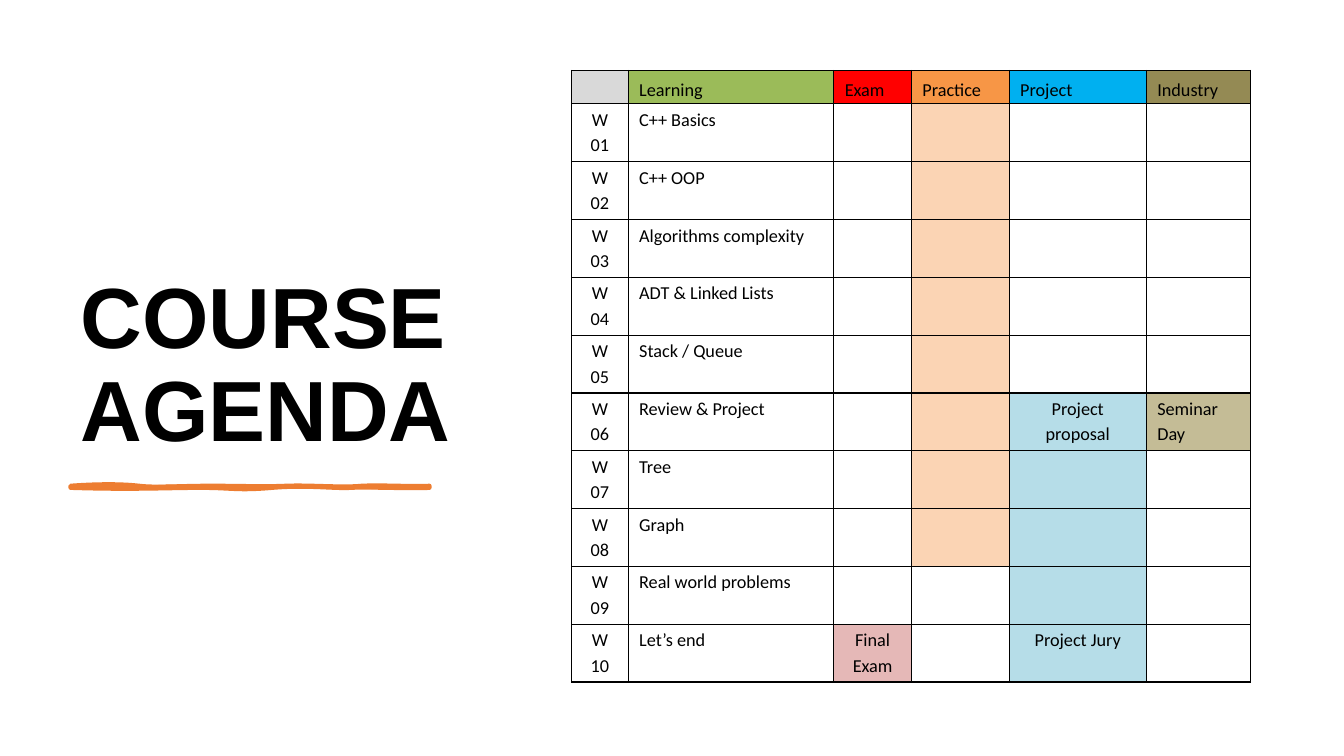
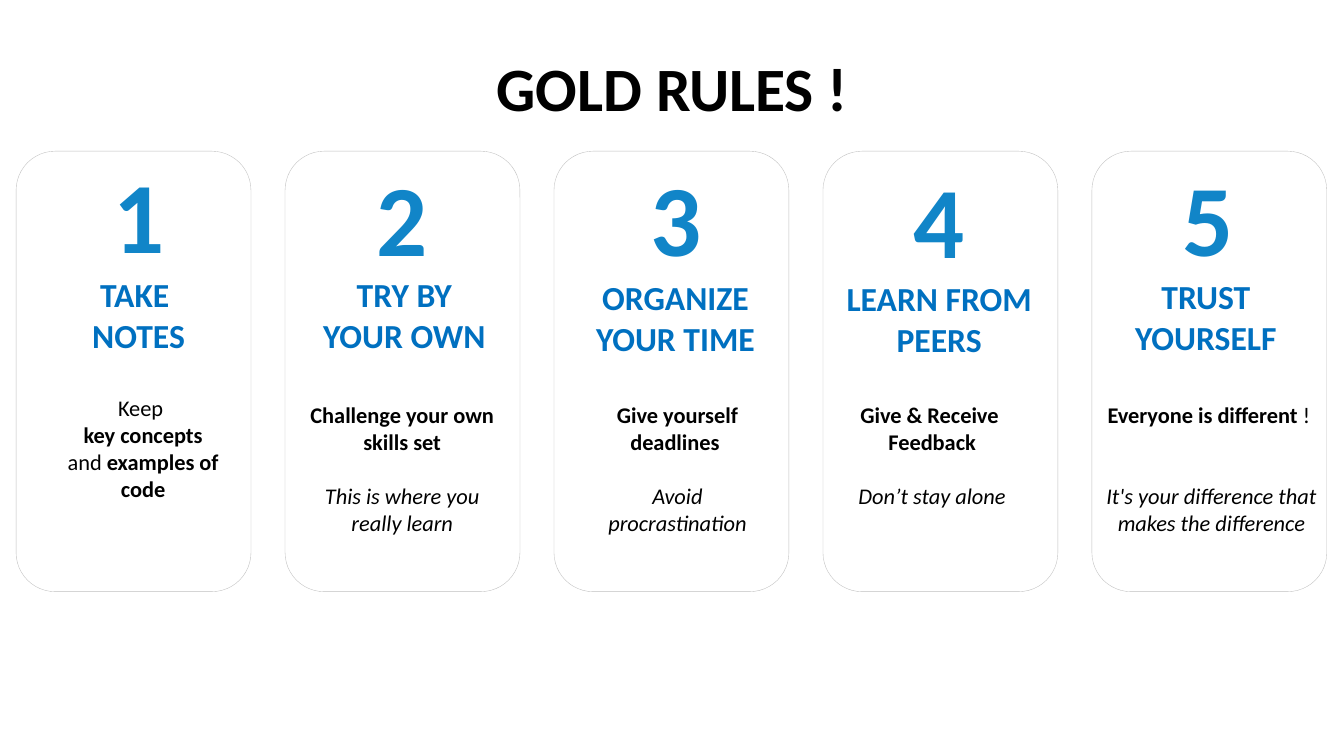
"""Build the course agenda and gold rules slides."""
from dataclasses import dataclass

from lxml.etree import SubElement as Sub
from pptx import Presentation
from pptx.dml.color import RGBColor as Rgb
from pptx.enum.shapes import MSO_SHAPE as Kind
from pptx.enum.text import MSO_ANCHOR as Anchor, MSO_AUTO_SIZE as Fit, PP_ALIGN as Align
from pptx.oxml.ns import qn
from pptx.util import Inches, Pt


@dataclass(frozen=True)
class Theme:
    """Colours, fonts and type sizes."""
    ink: str = "000000"
    paper: str = "FFFFFF"
    wave: str = "ED7D31"
    edge: str = "BFBFBF"
    digit: str = "1185C8"
    head: str = "0070C0"
    corner: str = "D9D9D9"
    exam: str = "E5B8B7"
    drill: str = "FBD4B4"
    work: str = "B6DDE8"
    trade: str = "C4BC96"
    face: str = "Calibri"
    strong: str = "Arial"
    banner: int = 61
    title: int = 44
    number: int = 72
    label: int = 24
    body: int = 16
    cell: int = 13


THEME = Theme()

HEADS = [("", THEME.corner), ("Learning", "9BBB59"), ("Exam", "FF0000"),
         ("Practice", "F79646"), ("Project", "00B0F0"), ("Industry", "948A54")]
TOPICS = ["C++ Basics", "C++ OOP", "Algorithms complexity", "ADT & Linked Lists",
          "Stack / Queue", "Review & Project", "Tree", "Graph",
          "Real world problems", "Let’s end"]
WIDTHS = [0.56, 2.04, 0.77, 0.97, 1.36, 1.03]
EVENTS = {(6, 4): "Project proposal", (6, 5): "Seminar Day",
          (10, 2): "Final Exam", (10, 4): "Project Jury"}
TINTS = {(10, 2): THEME.exam, (6, 5): THEME.trade,
         **{(row, 3): THEME.drill for row in range(1, 9)},
         **{(row, 4): THEME.work for row in range(6, 11)}}

RIM = [(0.7, 4.82), (0.97, 4.8), (1.21, 4.8), (1.38, 4.82), (1.55, 4.84),
       (1.77, 4.82), (2.09, 4.82), (2.41, 4.82), (2.6, 4.83), (2.84, 4.82),
       (3.08, 4.81), (3.39, 4.84), (3.59, 4.82), (3.79, 4.81), (4.12, 4.83),
       (4.26, 4.82), (4.26, 4.83), (4.26, 4.84), (4.26, 4.84), (4.08, 4.85),
       (3.64, 4.83), (3.48, 4.84), (3.32, 4.85), (3.04, 4.81), (2.7, 4.84),
       (2.35, 4.87), (2.31, 4.84), (1.99, 4.84), (1.66, 4.84), (1.32, 4.86),
       (0.7, 4.84), (0.7, 4.84), (0.7, 4.83), (0.7, 4.82)]
CORE = [(0.7, 4.82), (1.02, 4.84), (1.1, 4.83), (1.38, 4.82), (1.66, 4.81),
        (1.69, 4.8), (1.99, 4.82), (2.28, 4.84), (2.61, 4.83), (2.77, 4.82),
        (2.93, 4.81), (3.27, 4.85), (3.44, 4.82), (3.62, 4.8), (3.97, 4.86),
        (4.26, 4.82), (4.26, 4.83), (4.26, 4.83), (4.26, 4.84), (4.12, 4.84),
        (3.72, 4.87), (3.55, 4.84), (3.38, 4.82), (3.09, 4.84), (2.77, 4.84),
        (2.44, 4.84), (2.4, 4.83), (2.16, 4.84), (1.93, 4.85), (1.79, 4.83),
        (1.45, 4.84), (1.11, 4.85), (0.92, 4.84), (0.7, 4.84), (0.7, 4.83),
        (0.7, 4.83), (0.7, 4.82)]


@dataclass(frozen=True)
class Line:
    """One paragraph: runs of (text, style) after a gap in lines."""
    runs: tuple
    gap: int = 0


@dataclass(frozen=True)
class Rule:
    """One card: places of its three texts and their words."""
    spot: tuple
    place: tuple
    label: tuple
    block: tuple
    lines: tuple


def line(text, style="", gap=0):
    """Make a paragraph of one run."""
    return Line(((text, style),), gap)


RULES = [
    Rule((1.03, 1.47), (0.21, 2.67, 2.33), ("TAKE ", "NOTES"), (0.39, 3.86, 2.06, 1.18),
         (line("Keep "), line("key concepts", "b"),
          Line((("and ", ""), ("examples of code", "b"))))),
    Rule((3.64, 1.5), (3.07, 2.67, 1.88), ("TRY BY", "YOUR OWN"), (2.96, 3.93, 2.06, 1.45),
         (line("Challenge your own skills set", "b"),
          line("This is where you really learn", "i", 1))),
    Rule((6.35, 1.5), (5.76, 2.7, 1.88), ("ORGANIZE YOUR TIME",), (5.69, 3.93, 2.06, 1.45),
         (line("Give yourself deadlines ", "b"), line("Avoid procrastination", "i", 1))),
    Rule((8.96, 1.52), (8.29, 2.71, 2.05), ("LEARN FROM", "PEERS"), (8.33, 3.93, 1.78, 1.18),
         (line("Give & Receive", "b"), line(" Feedback", "b"),
          line(" Don’t stay alone", "i", 1))),
    Rule((11.63, 1.5), (11.1, 2.69, 1.72), ("TRUST", "YOURSELF"), (10.79, 3.93, 2.45, 1.45),
         (Line((("Everyone is different", "b"), (" ! ", ""))),
          line("It's your difference that makes the difference", "i", 2))),
]


def paint(item, tone):
    """Give a fill a solid colour."""
    item.fill.solid()
    item.fill.fore_color.rgb = Rgb.from_string(tone)


def stroke(shape, tone, width):
    """Give a shape a solid line."""
    shape.line.color.rgb = Rgb.from_string(tone)
    shape.line.width = Pt(width)


def style(font, size, tone, bold=False, face=THEME.face):
    """Set the look of a font."""
    font.name, font.size, font.bold = face, Pt(size), bold
    font.color.rgb = Rgb.from_string(tone)


def add_title(slide, text, box, size, face, align, anchor):
    """Fill, move and format the title."""
    shape = slide.shapes.title
    shape.left, shape.top, shape.width, shape.height = map(Inches, box)
    frame = shape.text_frame
    frame.text, frame.auto_size = text, Fit.NONE
    frame.word_wrap, frame.vertical_anchor = True, anchor
    par = frame.paragraphs[0]
    par.alignment = align
    style(par.font, size, THEME.ink, True, face)
    return par


def add_text(slide, box, lines, size, tone, align=Align.CENTER, wrap=True):
    """Add a text box with one paragraph for each line."""
    frame = slide.shapes.add_textbox(*map(Inches, box)).text_frame
    frame.word_wrap, frame.auto_size = wrap, Fit.SHAPE_TO_FIT_TEXT
    for index, item in enumerate(lines):
        par = frame.add_paragraph() if index else frame.paragraphs[0]
        par.alignment = align
        if item.gap:
            par.space_before = Pt(item.gap * size * 1.22)
        style(par.font, size, tone)
        for text, mark in item.runs:
            run = par.add_run()
            run.text = text
            font = par.font if len(item.runs) == 1 else run.font
            font.bold, font.italic = "b" in mark, "i" in mark


def bend(track):
    """Turn each three straight steps of a track into a cubic curve."""
    steps = track.findall(qn("a:lnTo"))
    for start in range(0, len(steps), 3):
        arc = track.makeelement(qn("a:cubicBezTo"), {})
        steps[start].addprevious(arc)
        for step in steps[start:start + 3]:
            arc.append(step[0])
            track.remove(step)


def add_wave(slide):
    """Draw the rough line below the title as a rim and a core."""
    rim, core = ([tuple(map(Inches, dot)) for dot in dots] for dots in (RIM, CORE))
    pen = slide.shapes.build_freeform(*rim[0])
    pen.add_line_segments(rim[1:])
    pen.move_to(*core[0])
    pen.add_line_segments(core[1:])
    shape = pen.convert_to_shape()
    shape.shadow.inherit = False
    paint(shape, THEME.wave)
    stroke(shape, THEME.wave, 3)
    first = next(shape._element.iter(qn("a:path")))
    second = first.makeelement(first.tag, dict(first.attrib))
    first.addnext(second)
    cut = first.index(first.findall(qn("a:moveTo"))[1])
    second.extend(first[cut:])
    first.set("fill", "none")
    second.set("stroke", "0")
    bend(first)
    bend(second)


def rule_cell(cell):
    """Draw thin borders round a cell."""
    props = cell._tc.get_or_add_tcPr()
    for index, side in enumerate(("a:lnL", "a:lnR", "a:lnT", "a:lnB")):
        edge = props.makeelement(qn(side), {"w": str(Pt(1))})
        props.insert(index, edge)
        Sub(Sub(edge, qn("a:solidFill")), qn("a:srgbClr"), val=THEME.ink)


def set_cell(cell, text, tone, align, anchor):
    """Fill and format one cell."""
    cell.text, cell.vertical_anchor = text, anchor
    cell.margin_left = cell.margin_right = Inches(0.11)
    cell.margin_top, cell.margin_bottom = Inches(0.02), 0
    par = cell.text_frame.paragraphs[0]
    par.alignment, par.line_spacing = align, 1.15
    style(par.font, THEME.cell, THEME.ink)
    paint(cell, tone)
    rule_cell(cell)


def add_plan(slide):
    """Add the table of weeks."""
    rows = len(TOPICS) + 1
    box = map(Inches, (5.67, 0.7, sum(WIDTHS), 6.07))
    table = slide.shapes.add_table(rows, len(WIDTHS), *box).table
    table.first_row = table.horz_banding = False
    for col, width in zip(table.columns, WIDTHS):
        col.width = Inches(width)
    for index, row in enumerate(table.rows):
        row.height = Inches(5.74 / len(TOPICS) if index else 0.33)
    for col, (text, tone) in enumerate(HEADS):
        set_cell(table.cell(0, col), text, tone, Align.LEFT, Anchor.MIDDLE)
    for week, topic in enumerate(TOPICS, 1):
        for col in range(len(WIDTHS)):
            text = {0: f"W {week:02}", 1: topic}.get(col, EVENTS.get((week, col), ""))
            align = Align.LEFT if col in (1, 5) else Align.CENTER
            tone = TINTS.get((week, col), THEME.paper)
            set_cell(table.cell(week, col), text, tone, align, Anchor.TOP)


def add_card(slide, index):
    """Add one rounded card frame."""
    box = (0.16 + index * 10.67 / 4, 1.5, 2.33, 4.37)
    card = slide.shapes.add_shape(Kind.ROUNDED_RECTANGLE, *map(Inches, box))
    card.shadow.inherit = False
    paint(card, THEME.paper)
    stroke(card, THEME.edge, 0.25)


def add_rule(slide, index, rule):
    """Add a card with its number, label and advice."""
    add_card(slide, index)
    add_text(slide, (*rule.spot, 0.71, 1.31), [line(str(index + 1), "b")],
             THEME.number, THEME.digit, Align.LEFT, False)
    add_text(slide, (*rule.place, 0.91), [line(text, "b") for text in rule.label],
             THEME.label, THEME.head)
    add_text(slide, rule.block, rule.lines, THEME.body, THEME.ink)


def main():
    """Build and save the deck."""
    deck = Presentation()
    deck.slide_width, deck.slide_height = Inches(13.33), Inches(7.5)
    plan, gold = (deck.slides.add_slide(deck.slide_layouts[5]) for _ in range(2))
    par = add_title(plan, "COURSE AGENDA", (0.7, 0.7, 3.91, 3.91), THEME.banner,
                    THEME.strong, Align.LEFT, Anchor.BOTTOM)
    par.line_spacing, par.space_after = 0.9, Pt(6)
    add_wave(plan)
    add_plan(plan)
    add_title(gold, "GOLD RULES !", (2.06, 0.45, 9.22, 0.84), THEME.title,
              THEME.face, Align.CENTER, Anchor.TOP)
    for index, rule in enumerate(RULES):
        add_rule(gold, index, rule)
    deck.save("out.pptx")


if __name__ == "__main__":
    main()
